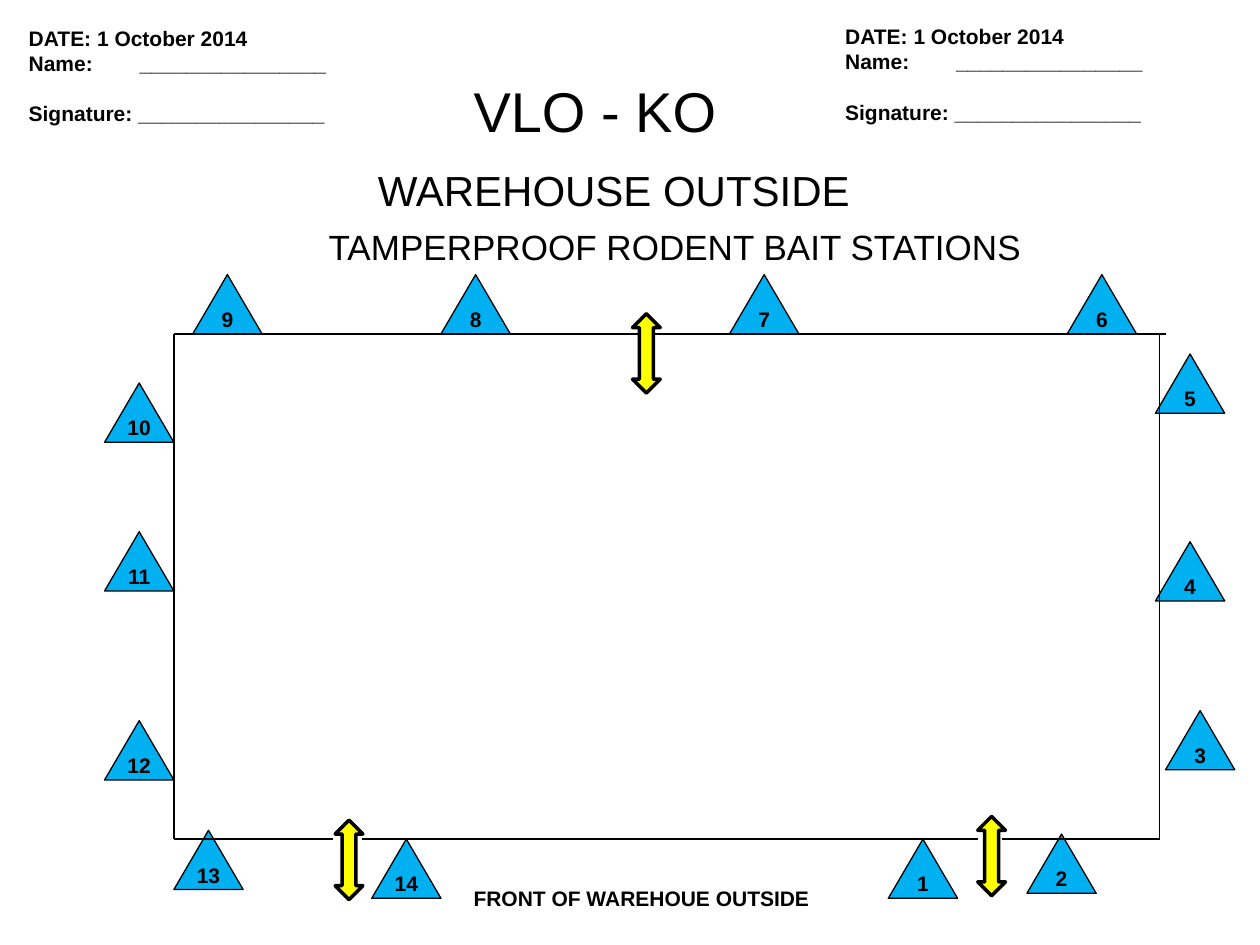
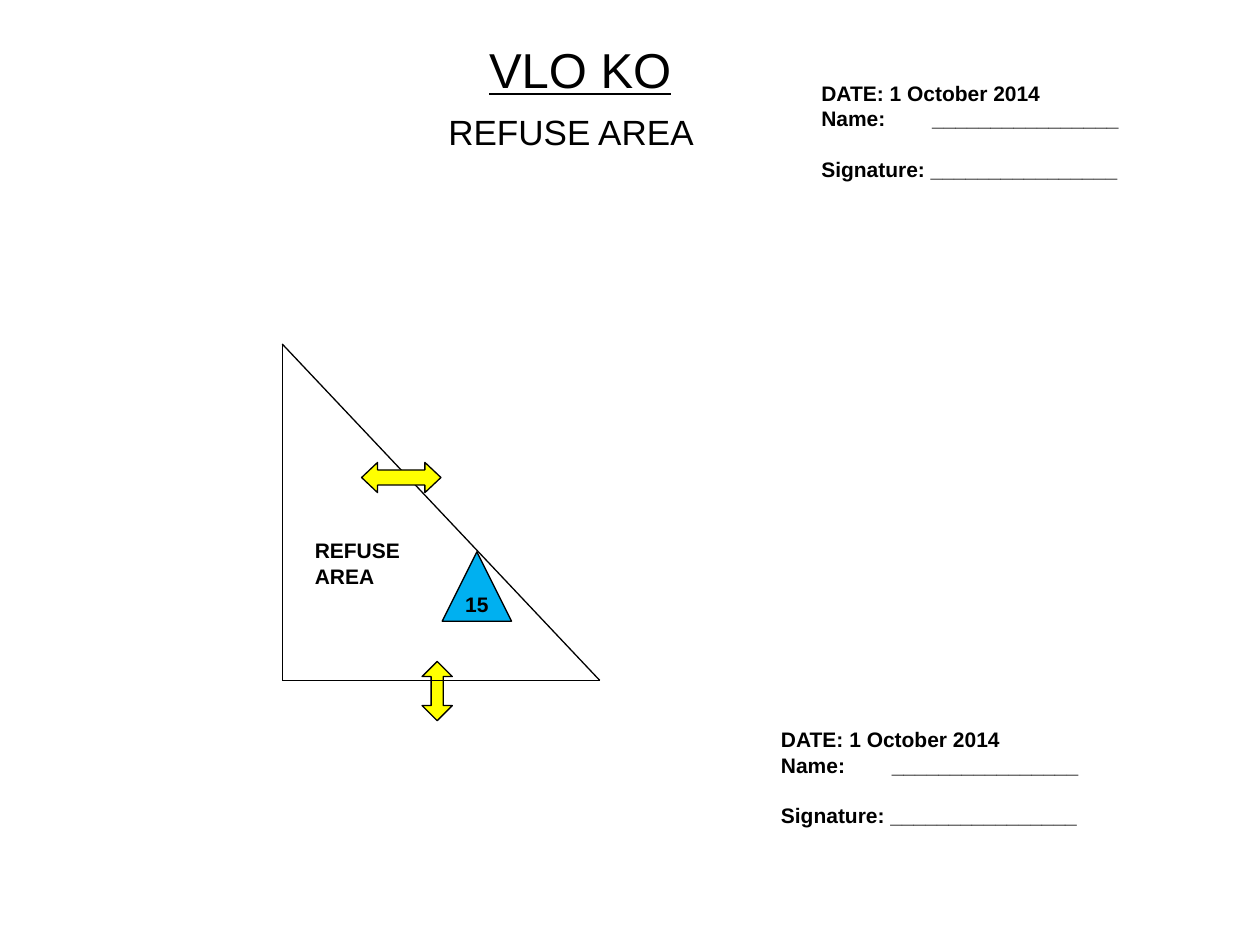
from lxml import etree
from pptx import Presentation
from pptx.dml.color import RGBColor
from pptx.enum.shapes import MSO_CONNECTOR, MSO_SHAPE
from pptx.enum.text import MSO_ANCHOR, PP_ALIGN
from pptx.oxml.ns import qn
from pptx.util import Inches, Pt

BLACK = RGBColor(0x00, 0x00, 0x00)
STATION_BLUE = RGBColor(0x00, 0xB0, 0xF0)
DOOR_YELLOW = RGBColor(0xFF, 0xFF, 0x00)
FONT = "Arial"
LINE_WIDTH = 0.75
STRAIGHT = MSO_CONNECTOR.STRAIGHT
TRIANGLE = MSO_SHAPE.ISOSCELES_TRIANGLE
VERTICAL = MSO_SHAPE.UP_DOWN_ARROW
HORIZONTAL = MSO_SHAPE.LEFT_RIGHT_ARROW
CENTER, MIDDLE = PP_ALIGN.CENTER, MSO_ANCHOR.MIDDLE
SIGN_OFF = ["DATE: 1 October 2014", "Name:\t________________",
            "Signature: ________________"]


def add_text(page, place, lines, size, bold=False):
    box = page.shapes.add_textbox(*map(Inches, place))
    frame = box.text_frame
    frame.word_wrap = True
    frame.text = "\n".join(lines)
    for para in frame.paragraphs:
        para.font.name = FONT
        para.font.size = Pt(size)
        para.font.bold = bold
        para.font.color.rgb = BLACK
    return frame


def add_marker(page, kind, place, fill, line_width=LINE_WIDTH, label=""):
    marker = page.shapes.add_shape(kind, *map(Inches, place))
    marker.shadow.inherit = False
    marker.fill.solid()
    marker.fill.fore_color.rgb = fill
    marker.line.color.rgb = BLACK
    marker.line.width = Pt(line_width)
    if label:
        frame = marker.text_frame
        frame.word_wrap = False
        frame.vertical_anchor = MIDDLE
        frame.text = label
        para = frame.paragraphs[0]
        para.alignment = CENTER
        para.font.name = FONT
        para.font.size = Pt(12)
        para.font.bold = True
        para.font.color.rgb = BLACK
    return marker


deck = Presentation()
deck.slide_width, deck.slide_height = Inches(10), Inches(7.5)
warehouse, refuse = [deck.slides.add_slide(deck.slide_layouts[6]) for _ in range(2)]

# Walls of both areas: start x, start y, end x, end y
LEFT, RIGHT, TOP, BOTTOM = 1.38, 9.2, 2.65, 6.66
walls = [
    (warehouse, [(LEFT, BOTTOM, 2.64, BOTTOM), (2.87, BOTTOM, 7.76, BOTTOM),
                 (7.95, BOTTOM, 9.21, BOTTOM), (LEFT, BOTTOM, LEFT, TOP),
                 (LEFT, TOP, 9.25, TOP), (RIGHT, BOTTOM, RIGHT, TOP)]),
    (refuse, [(2.24, 2.73, 2.24, 5.4), (2.24, 2.73, 4.76, 5.4)]),
]
# The refuse area's floor lies over its lower door
add_marker(refuse, VERTICAL, (3.35, 5.25, 0.24, 0.47), DOOR_YELLOW).adjustments[1] = 0.4
walls[1][1].append((2.24, 5.4, 4.76, 5.4))
stations = {
    13: (1.38, 6.59), 14: (2.95, 6.66), 3: (9.25, 5.64), 4: (9.17, 4.3),
    5: (9.17, 2.81), 12: (0.83, 5.72), 11: (0.83, 4.22), 9: (1.53, 2.18),
    8: (3.5, 2.18), 7: (5.79, 2.18), 6: (8.47, 2.18), 10: (0.83, 3.04),
    1: (7.05, 6.66), 2: (8.15, 6.62),
}

# Bait stations
for number, (left, top) in stations.items():
    add_marker(warehouse, TRIANGLE, (left, top, 0.55, 0.47), STATION_BLUE,
               label=str(number))
add_marker(refuse, TRIANGLE, (3.51, 4.38, 0.55, 0.55), STATION_BLUE, label="15")

for page, segments in walls:
    for segment in segments:
        wall = page.shapes.add_connector(STRAIGHT, *map(Inches, segment))
        wall.line.color.rgb = BLACK
        wall.line.width = Pt(LINE_WIDTH)
        etree.SubElement(wall._element.spPr, qn("a:effectLst"))

# Doors
for left, top in [(5.02, 2.49), (2.66, 6.51), (7.76, 6.48)]:
    add_marker(warehouse, VERTICAL, (left, top, 0.22, 0.63), DOOR_YELLOW, 2)
side_door = add_marker(refuse, HORIZONTAL, (2.87, 3.67, 0.63, 0.24), DOOR_YELLOW)
side_door.adjustments[1] = 0.53

# Headings and captions
add_text(warehouse, (3.66, 0.56, 2.32, 0.64), ["VLO - KO"], 32)
add_text(warehouse, (2.9, 1.26, 8.05, 0.5), ["WAREHOUSE OUTSIDE"], 24)
add_text(warehouse, (2.51, 1.74, 7.31, 0.44), ["TAMPERPROOF RODENT BAIT STATIONS"], 20)
add_text(warehouse, (3.66, 6.98, 2.95, 0.3), ["FRONT OF WAREHOUE OUTSIDE"], 12, True)
title = add_text(refuse, (2.87, 0.13, 3.47, 0.84), ["VLO KO"], 28)
title.vertical_anchor = MIDDLE
title.paragraphs[0].alignment = CENTER
title.paragraphs[0].font.underline = True
add_text(refuse, (3.46, 0.83, 2.36, 0.44), ["REFUSE AREA"], 20)
caption = add_text(refuse, (2.4, 4.22, 1.18, 0.5), ["REFUSE AREA"], 12, True)
caption.paragraphs[0].space_before = Pt(7.5)

# Sign-off blocks
for page, left, top, width in [(warehouse, 0.13, 0.15, 5), (warehouse, 6.61, 0.14, 5),
                               (refuse, 6.1, 5.72, 3.47), (refuse, 6.42, 0.59, 3.4)]:
    frame = add_text(page, (left, top, width, 0.9), SIGN_OFF, 12, True)
    date, name, signature = frame.paragraphs
    signature.space_before = Pt(14.4)
    tabs = etree.SubElement(name._p.get_or_add_pPr(), qn("a:tabLst"))
    etree.SubElement(tabs, qn("a:tab"), pos=str(Inches(0.88)), algn="l")
    # The tab list comes before the default run properties
    name._p.pPr.insert(0, tabs)

deck.save("out.pptx")
